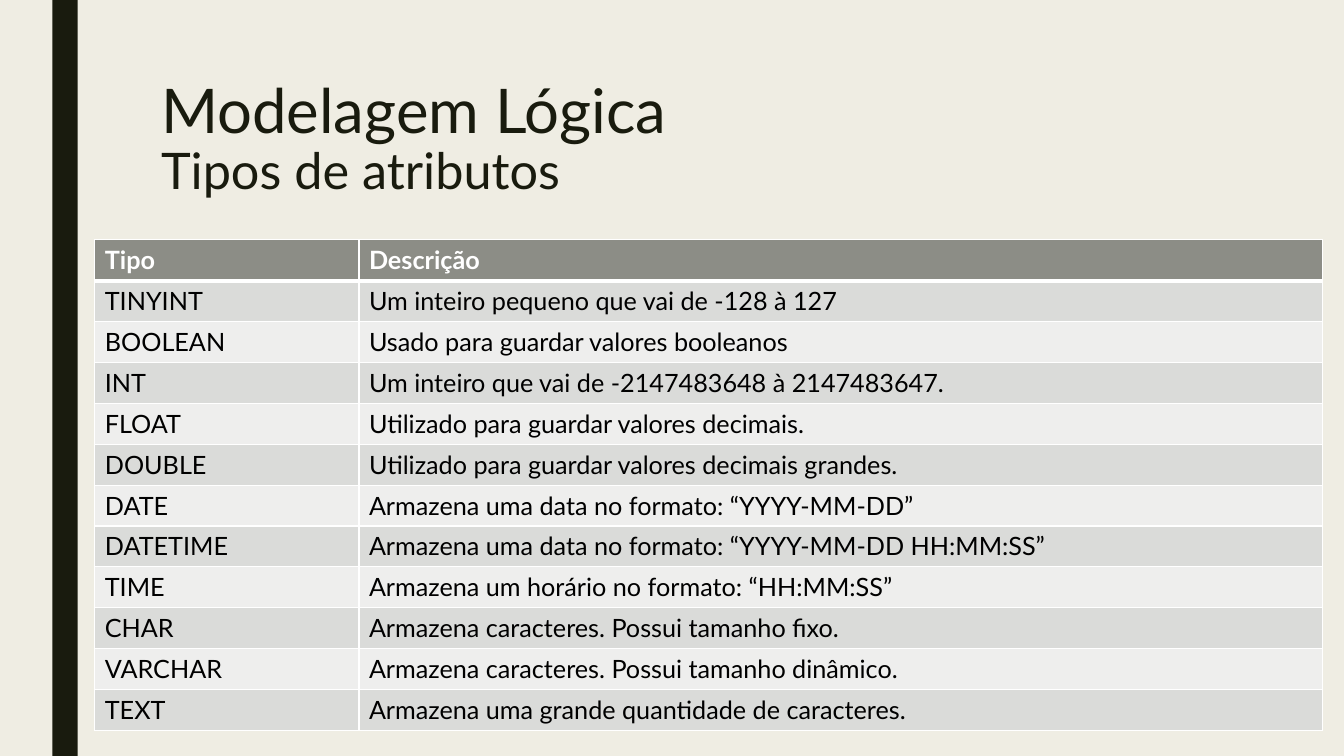
import pptx
import pptx.dml.color
import pptx.enum.shapes
import pptx.enum.text
import pptx.oxml
import pptx.oxml.ns
import pptx.util
from pptx.util import Inches

FONT = "Lato"
COLORS = {
    "background": "EFEDE3",
    "dark": "191B0E",
    "header": "8C8D86",
    "odd": "DADBD9",
    "even": "EEEEED",
    "white": "FFFFFF",
    "black": "000000",
}
TITLE_LINES = [("Modelagem Lógica", 44), ("Tipos de atributos", 36)]
ROWS = [
    ("Tipo", "Descrição"),
    ("TINYINT", "Um inteiro pequeno que vai de -128 à 127"),
    ("BOOLEAN", "Usado para guardar valores booleanos"),
    ("INT", "Um inteiro que vai de -2147483648 à 2147483647."),
    ("FLOAT", "Utilizado para guardar valores decimais."),
    ("DOUBLE", "Utilizado para guardar valores decimais grandes."),
    ("DATE", "Armazena uma data no formato: “YYYY-MM-DD”"),
    ("DATETIME", "Armazena uma data no formato: “YYYY-MM-DD HH:MM:SS”"),
    ("TIME", "Armazena um horário no formato: “HH:MM:SS”"),
    ("CHAR", "Armazena caracteres. Possui tamanho fixo."),
    ("VARCHAR", "Armazena caracteres. Possui tamanho dinâmico."),
    ("TEXT", "Armazena uma grande quantidade de caracteres."),
]
COLUMN_WIDTHS = [2.62, 9.56]
TABLE_HEIGHT = 4.87


def color(name):
    """Return the named colour."""
    return pptx.dml.color.RGBColor.from_string(COLORS[name])


def style(span, size, color_name, bold=False):
    """Set the font of one run."""
    span.font.name = FONT
    span.font.size = pptx.util.Pt(size)
    span.font.bold = bold
    span.font.color.rgb = color(color_name)


def add_borders(cell, widths):
    """Draw white cell borders, with widths in points by side."""
    properties = cell._tc.get_or_add_tcPr()
    for side, width in widths.items():
        properties.append(pptx.oxml.parse_xml(
            f'<a:ln{side} {pptx.oxml.ns.nsdecls("a")} w="{pptx.util.Pt(width)}">'
            f'<a:solidFill><a:srgbClr val="{COLORS["white"]}"/></a:solidFill>'
            f'</a:ln{side}>'))


def add_side_bar(page):
    """Add the dark vertical bar on the left."""
    bar = page.shapes.add_shape(
        pptx.enum.shapes.MSO_SHAPE.RECTANGLE,
        Inches(0.52), 0, Inches(0.25), Inches(7.5))
    bar.shadow.inherit = False
    bar.fill.solid()
    bar.fill.fore_color.rgb = color("dark")
    bar.line.fill.background()


def add_title(page):
    """Add the two-line title."""
    box = page.shapes.add_textbox(
        Inches(1.5), Inches(0.75), Inches(10.5), Inches(1.62))
    frame = box.text_frame
    frame.word_wrap = True
    frame.vertical_anchor = pptx.enum.text.MSO_ANCHOR.TOP
    frame.text = "\v".join(line for line, size in TITLE_LINES)
    para = frame.paragraphs[0]
    para.line_spacing = 0.89
    for span, (line, size) in zip(para.runs, TITLE_LINES):
        style(span, size, "dark")


def add_type_table(page):
    """Add the table of attribute types with alternating row fills."""
    table = page.shapes.add_table(
        len(ROWS), len(COLUMN_WIDTHS), Inches(0.94), Inches(2.38),
        Inches(sum(COLUMN_WIDTHS)), Inches(TABLE_HEIGHT)).table
    for column, width in zip(table.columns, COLUMN_WIDTHS):
        column.width = Inches(width)
    for index, texts in enumerate(ROWS):
        table.rows[index].height = Inches(TABLE_HEIGHT / len(ROWS))
        header = index == 0
        fill = "header" if header else "odd" if index % 2 else "even"
        widths = {"L": 1, "R": 1,
                  "T": 3 if index == 1 else 1, "B": 3 if header else 1}
        for position, text in enumerate(texts):
            cell = table.cell(index, position)
            add_borders(cell, widths)
            cell.fill.solid()
            cell.fill.fore_color.rgb = color(fill)
            cell.text_frame.text = text
            style(cell.text_frame.paragraphs[0].runs[0], 18,
                  "white" if header else "black", header)


deck = pptx.Presentation()
deck.slide_width, deck.slide_height = Inches(13.33), Inches(7.5)
page = deck.slides.add_slide(deck.slide_layouts[6])
page.background.fill.solid()
page.background.fill.fore_color.rgb = color("background")
add_side_bar(page)
add_title(page)
add_type_table(page)
deck.save("out.pptx")
